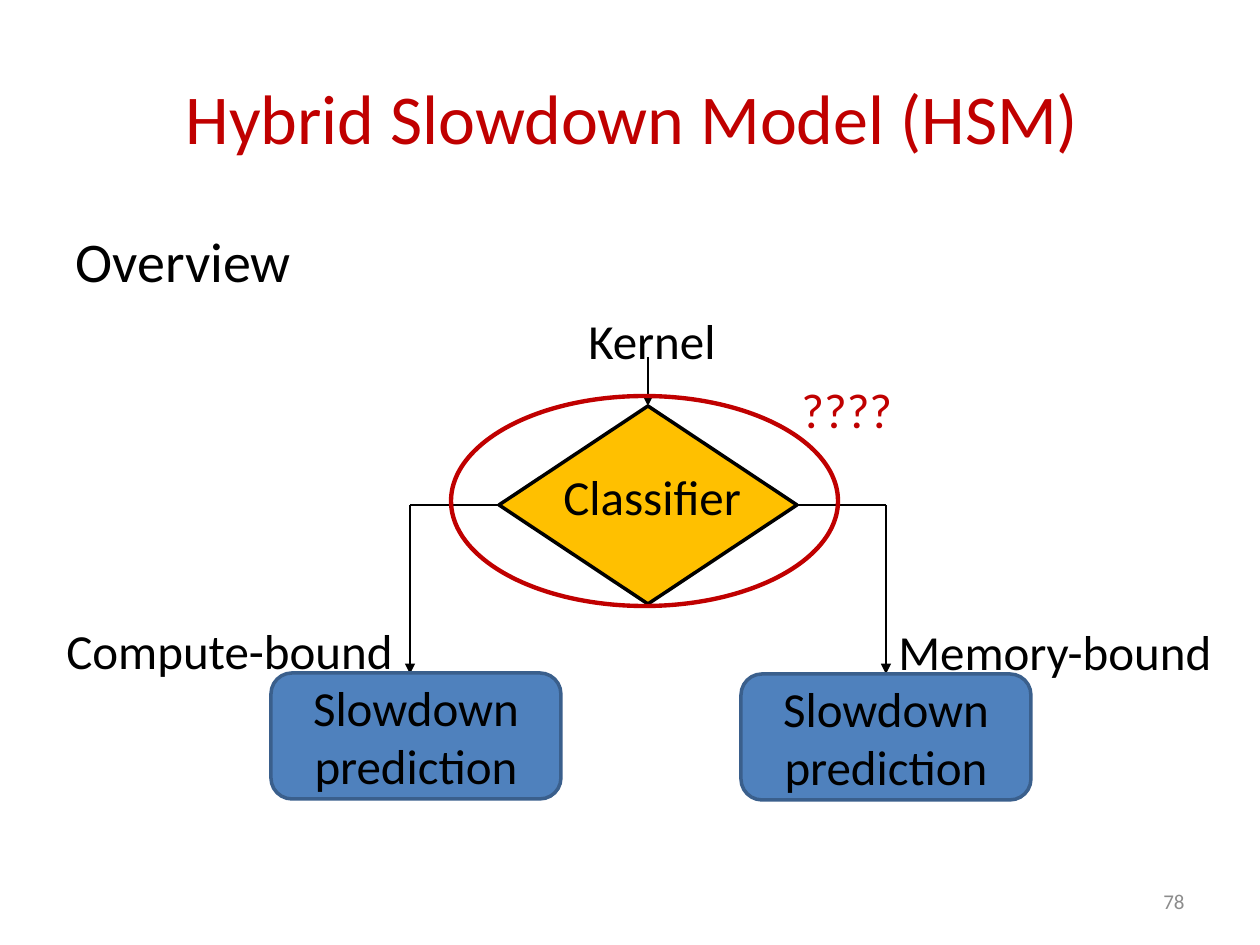
from dataclasses import dataclass

from lxml import etree
from pptx import Presentation
from pptx.dml.color import RGBColor
from pptx.enum.shapes import MSO_CONNECTOR, MSO_SHAPE
from pptx.enum.text import MSO_ANCHOR, PP_ALIGN
from pptx.oxml.ns import qn
from pptx.util import Pt

LEFT, CENTER, RIGHT = PP_ALIGN.LEFT, PP_ALIGN.CENTER, PP_ALIGN.RIGHT
TOP, MIDDLE = MSO_ANCHOR.TOP, MSO_ANCHOR.MIDDLE
DIAMOND, OVAL, ROUNDED = MSO_SHAPE.DIAMOND, MSO_SHAPE.OVAL, MSO_SHAPE.ROUNDED_RECTANGLE
STRAIGHT = MSO_CONNECTOR.STRAIGHT


@dataclass(frozen=True)
class Theme:
    font: str = "Calibri"
    ink: str = "000000"
    accent: str = "C00000"
    muted: str = "8C8C8C"
    decision: str = "FFC000"
    block: str = "4F81BD"
    block_line: str = "3A5F8C"
    title: int = 40
    body: int = 32
    label: int = 28
    number: int = 12


THEME = Theme()


def px(v):
    return round(v * 914400 / 126)


def rgb(color):
    return RGBColor.from_string(color)


def write(tf, lines, size, color, align, anchor):
    tf.vertical_anchor = anchor
    for i, line in enumerate(lines):
        p = tf.add_paragraph() if i else tf.paragraphs[0]
        p.text = line
        p.alignment = align
        p.font.name = THEME.font
        p.font.size = Pt(size)
        p.font.color.rgb = rgb(color)


def add_text(s, box, text, size, color=THEME.ink, align=LEFT, anchor=TOP, wrap=True):
    tf = s.shapes.add_textbox(*map(px, box)).text_frame
    tf.word_wrap = wrap
    write(tf, [text], size, color, align, anchor)


def add_label(s, x, y, w, text, color=THEME.ink):
    add_text(s, (x, y, w, 72), text, THEME.label, color, wrap=False)


def add_node(s, kind, box, fill, line, width):
    sp = s.shapes.add_shape(kind, *map(px, box))
    sp.shadow.inherit = False
    if fill:
        sp.fill.solid()
        sp.fill.fore_color.rgb = rgb(fill)
    else:
        sp.fill.background()
    sp.line.color.rgb = rgb(line)
    sp.line.width = Pt(width)
    return sp


def add_line(s, x1, y1, x2, y2, arrow=False):
    c = s.shapes.add_connector(STRAIGHT, px(x1), px(y1), px(x2), px(y2))
    c.line.color.rgb = rgb(THEME.ink)
    c.line.width = Pt(1.5)
    if arrow:
        etree.SubElement(c.line._get_or_add_ln(), qn("a:tailEnd"), type="triangle")
    etree.SubElement(c._element.spPr, qn("a:effectLst"))


def add_block(s, x, y):
    sp = add_node(s, ROUNDED, (x, y, 290, 126), THEME.block, THEME.block_line, 2)
    write(sp.text_frame, ["Slowdown", "prediction"], THEME.label, THEME.ink, CENTER, MIDDLE)


def draw_flow(s, x, y, w):
    cx, cy = x + w // 2, y + 201
    half_w, half_h, reach = 149, 99, 238
    add_node(s, DIAMOND, (cx - half_w, cy - half_h, 2 * half_w, 2 * half_h),
             THEME.decision, THEME.ink, 2)
    for side in (1, -1):
        end = cx + side * reach
        add_line(s, cx + side * half_w, cy, end, cy)
        add_line(s, end, cy, end, y + 370, arrow=True)
    add_block(s, x + 217, y + 369)
    add_label(s, x, y + 310, 355, "Compute-bound")
    add_block(s, x + 687, y + 370)
    add_label(s, cx + reach, y + 311, 343, "Memory-bound")
    add_line(s, cx, y + 53, cx, cy - half_h, arrow=True)
    add_label(s, x + 522, y, 154, "Kernel")
    add_label(s, x + 497, y + 156, 205, "Classifier")
    add_node(s, OVAL, (x + 397, y + 92, 387, 210), None, THEME.accent, 2.5)
    add_label(s, x + 735, y + 69, 117, "????", THEME.accent)


def draw_text(s, w, h):
    add_text(s, (-25, 38, 1314, 157), "Hybrid Slowdown Model (HSM)",
             THEME.title, THEME.accent, CENTER, MIDDLE)
    add_text(s, (63, 220, 1182, 709), "Overview", THEME.body)
    add_text(s, (w - 357, h - 69, 294, 50), "78", THEME.number, THEME.muted, RIGHT, MIDDLE)


def main():
    prs = Presentation()
    w, h = 1260, 945
    prs.slide_width, prs.slide_height = px(w), px(h)
    s = prs.slides.add_slide(prs.slide_layouts[6])
    draw_text(s, w, h)
    draw_flow(s, 54, 304, 1188)
    prs.save("out.pptx")


if __name__ == "__main__":
    main()
